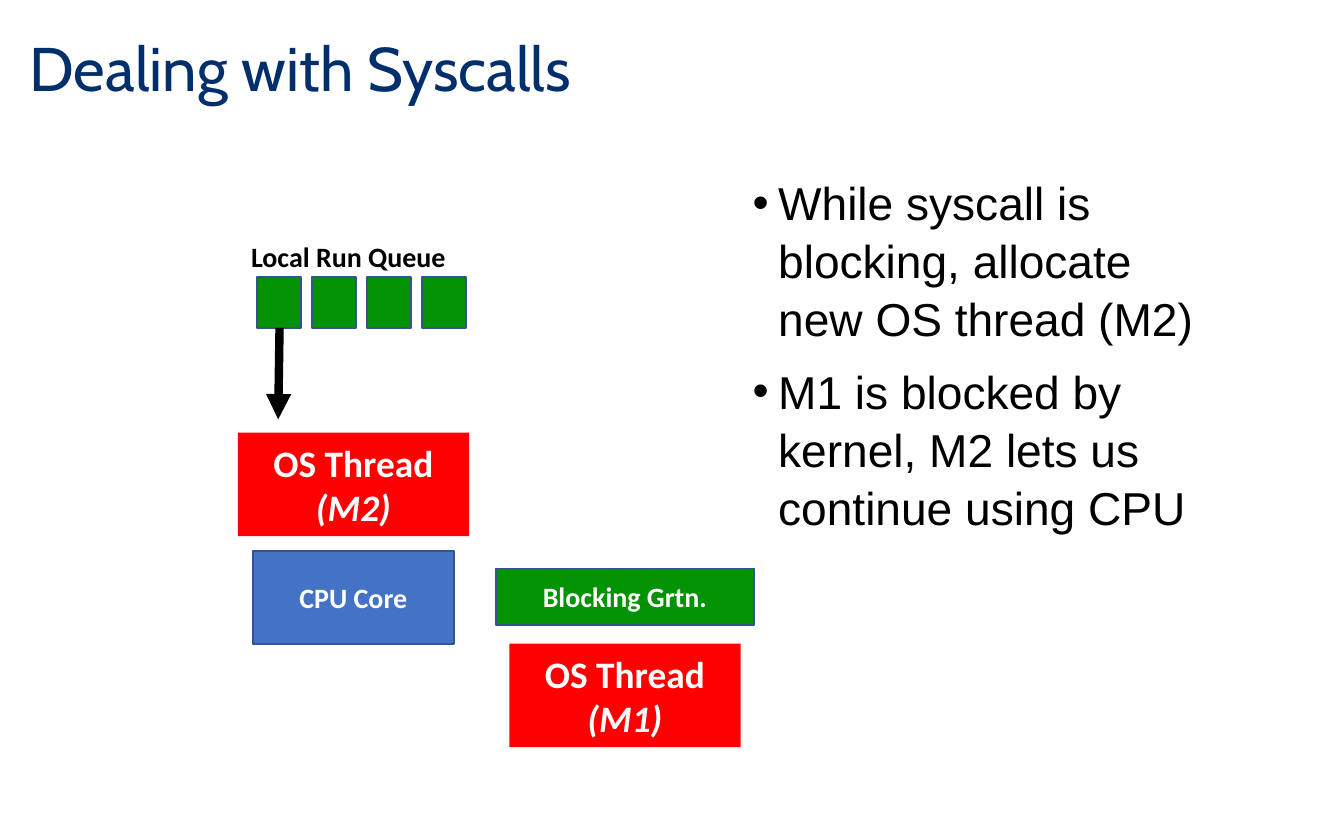
from lxml import etree
from pptx import Presentation
from pptx import util as u
from pptx.dml.color import RGBColor
from pptx.enum import shapes, text
from pptx.oxml.ns import qn

COLORS = {"navy": "002F6C", "black": "000000", "white": "FFFFFF", "blue": "4472C4",
          "red": "FF0000", "green": "039202", "edge": "325491"}
LEFT, CENTER = text.PP_ALIGN.LEFT, text.PP_ALIGN.CENTER
TOP, MIDDLE = text.MSO_ANCHOR.TOP, text.MSO_ANCHOR.MIDDLE


def rgb(name):
    return RGBColor.from_string(COLORS[name])


class Deck:
    """Holds the style and the current slide, and draws each kind of element."""

    label = {"name": "Calibri", "bold": True}

    def __init__(self, width, height):
        self.prs = Presentation()
        self.prs.slide_width, self.prs.slide_height = u.Inches(width), u.Inches(height)
        self.s = self.prs.slides.add_slide(self.prs.slide_layouts[1])

    def place(self, sp, box):
        for key, value in zip(("left", "top", "width", "height"), box):
            setattr(sp, key, u.Inches(value))

    def set_text(self, tf, lines, color, size, align=LEFT, anchor=TOP, para=None, **font):
        tf.word_wrap, tf.auto_size = True, text.MSO_AUTO_SIZE.NONE
        tf.vertical_anchor = anchor
        for i, line in enumerate(lines):
            p = tf.paragraphs[0] if i == 0 else tf.add_paragraph()
            for key, value in {"alignment": align, **(para or {})}.items():
                setattr(p, key, value)
            r = p.add_run()
            r.text = line
            r.font.color.rgb = rgb(color)
            for key, value in {"size": u.Pt(size), "italic": line.startswith("("), **font}.items():
                setattr(r.font, key, value)

    def title(self, line, box):
        sp = self.s.shapes.title
        self.place(sp, box)
        self.set_text(sp.text_frame, [line], "navy", 33, anchor=MIDDLE,
                      para={"line_spacing": 0.9}, name="Cabin")

    def bullets(self, lines, box):
        sp = self.s.placeholders[1]
        self.place(sp, box)
        self.set_text(sp.text_frame, lines, "black", 24.7, name="Arial",
                      para={"space_before": u.Pt(7.5), "line_spacing": 1.05})
        for p in sp.text_frame.paragraphs:
            pPr = p._p.get_or_add_pPr()
            pPr.set("marL", str(u.Inches(0.19)))
            pPr.set("indent", str(u.Inches(-0.19)))
            etree.SubElement(pPr, qn("a:buChar")).set("char", "•")

    def caption(self, line, box):
        sp = self.s.shapes.add_textbox(*map(u.Inches, box))
        self.set_text(sp.text_frame, [line], "black", 15, **self.label)

    def block(self, box, fill, lines=(), size=15, edge="edge"):
        sp = self.s.shapes.add_shape(shapes.MSO_SHAPE.RECTANGLE, *map(u.Inches, box))
        sp.shadow.inherit = False
        sp.fill.solid()
        sp.fill.fore_color.rgb = rgb(fill)
        if edge:
            sp.line.color.rgb, sp.line.width = rgb(edge), u.Pt(1)
        else:
            sp.line.fill.background()
        self.set_text(sp.text_frame, lines, "white", size, CENTER, MIDDLE, **self.label)

    def thread(self, name, left, top):
        self.block((left, top, 1.72, 0.77), "red", ["OS Thread", f"({name})"], 20, edge=None)

    def arrow(self, start, end):
        sp = self.s.shapes.add_connector(shapes.MSO_CONNECTOR.STRAIGHT,
                                         *map(u.Inches, (*start, *end)))
        sp.line.color.rgb, sp.line.width = rgb("black"), u.Pt(4.5)
        ln = sp._element.spPr.find(qn("a:ln"))
        etree.SubElement(ln, qn("a:tailEnd")).set("type", "triangle")
        etree.SubElement(sp._element.spPr, qn("a:effectLst"))


def main():
    deck = Deck(10, 6.25)
    deck.title("Dealing with Syscalls", (0.12, 0.1, 8.52, 0.86))
    deck.bullets(["While syscall is blocking, allocate new OS thread (M2)",
                  "M1 is blocked by kernel, M2 lets us continue using CPU"],
                 (5.5, 1.23, 3.54, 2.99))
    deck.block((1.88, 4.1, 1.5, 0.69), "blue", ["CPU Core"])
    deck.thread("M2", 1.77, 3.22)
    deck.block((3.69, 4.23, 1.92, 0.42), "green", ["Blocking Grtn."])
    for i in range(4):
        deck.block((1.91 + 0.41 * i, 2.06, 0.33, 0.38), "green")
    deck.caption("Local Run Queue", (1.77, 1.73, 1.93, 0.35))
    deck.thread("M1", 3.79, 4.79)
    deck.arrow((2.08, 2.44), (2.07, 3.12))
    deck.prs.save("out.pptx")


if __name__ == "__main__":
    main()
